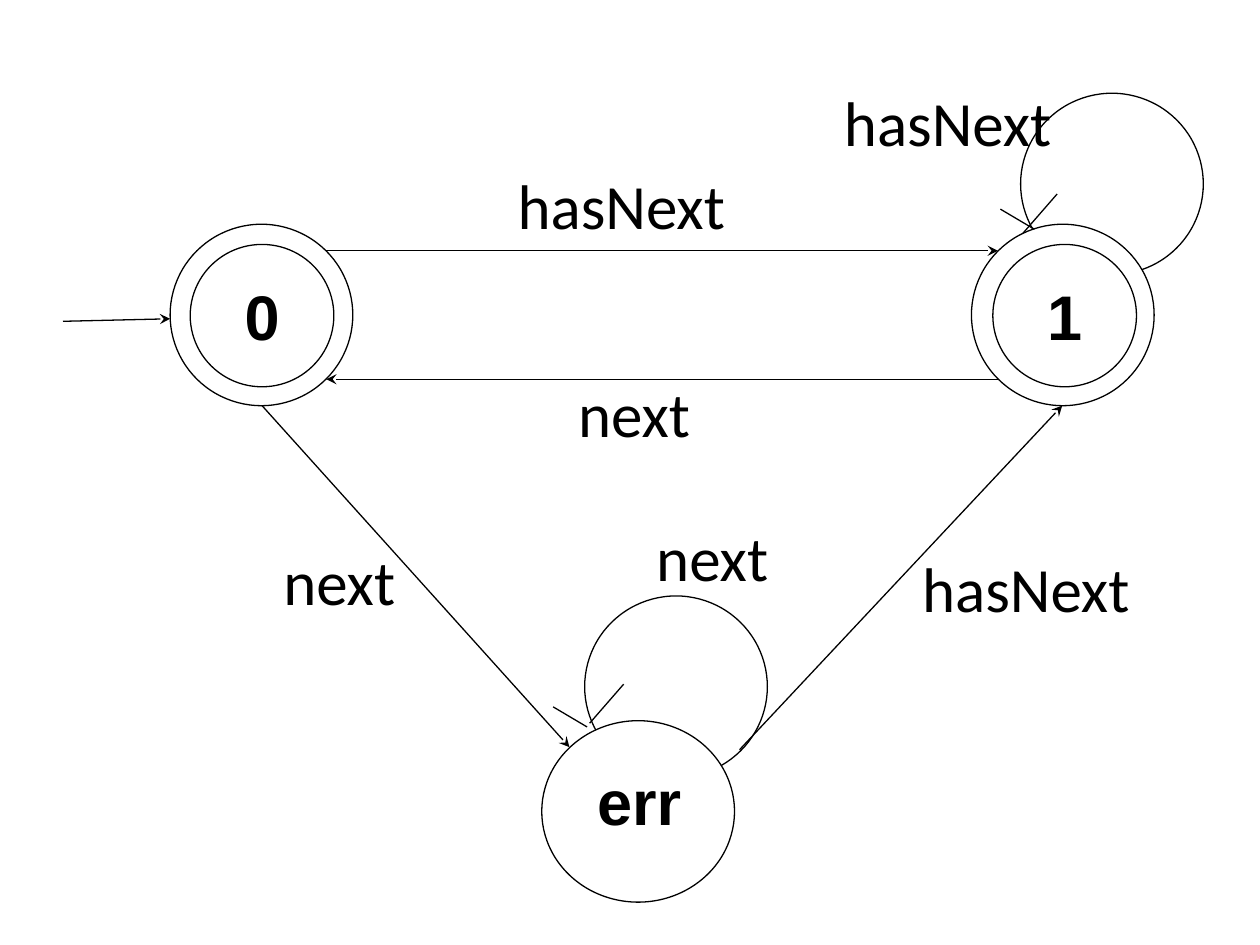
from lxml import etree
from pptx import Presentation
from pptx import util as u
from pptx.dml.color import RGBColor
from pptx.enum import shapes, text
from pptx.oxml import ns


def colour(value):
    return RGBColor.from_string(value)


class Diagram:
    ink = "000000"
    paper = "FFFFFF"
    size = u.Pt(36)
    line_width = u.Pt(0.75)
    label_font = "Calibri"
    state_font = "Arial"

    def __init__(self, slide):
        self.slide = slide

    def style_line(self, shape):
        shape.line.color.rgb = colour(self.ink)
        shape.line.width = self.line_width

    def add_words(self, frame, words, font, bold=False, after=10):
        paragraph = frame.paragraphs[0]
        paragraph.space_after = u.Pt(after)
        run = paragraph.add_run()
        run.text = words
        run.font.name = font
        run.font.size = self.size
        run.font.bold = bold
        run.font.color.rgb = colour(self.ink)
        return paragraph

    def circle(self, left, top, width, height, words=None):
        shape = self.slide.shapes.add_shape(
            shapes.MSO_SHAPE.OVAL, *map(u.Inches, (left, top, width, height)))
        shape.shadow.inherit = False
        shape.fill.solid()
        shape.fill.fore_color.rgb = colour(self.paper)
        self.style_line(shape)
        if words:
            shape.text_frame.vertical_anchor = text.MSO_ANCHOR.MIDDLE
            paragraph = self.add_words(shape.text_frame, words, self.state_font, bold=True)
            paragraph.alignment = text.PP_ALIGN.CENTER

    def line(self, start, end, arrow=False):
        connector = self.slide.shapes.add_connector(
            shapes.MSO_CONNECTOR.STRAIGHT, *map(u.Inches, start + end))
        self.style_line(connector)
        properties = connector._element.spPr
        if arrow:
            etree.SubElement(properties.find(ns.qn("a:ln")), ns.qn("a:tailEnd"), type="stealth")
        etree.SubElement(properties, ns.qn("a:effectLst"))

    def label(self, words, left, top, width, height):
        box = self.slide.shapes.add_textbox(*map(u.Inches, (left, top, width, height)))
        box.text_frame.word_wrap = True
        self.add_words(box.text_frame, words, self.label_font)

    def state_name(self, words, left, top, width, height):
        box = self.slide.shapes.add_textbox(*map(u.Inches, (left, top, width, height)))
        box.text_frame.word_wrap = False
        box.text_frame.auto_size = text.MSO_AUTO_SIZE.SHAPE_TO_FIT_TEXT
        self.add_words(box.text_frame, words, self.state_font, bold=True, after=0)


def main():
    presentation = Presentation()
    presentation.slide_width = u.Inches(10)
    presentation.slide_height = u.Inches(7.5)
    diagram = Diagram(presentation.slides.add_slide(presentation.slide_layouts[6]))

    # Self loops, partly covered by the states
    for left, top in ((4.64, 4.73), (8.1, 0.74)):
        diagram.circle(left, top, 1.45, 1.44)

    # States: 0 and 1 have a double ring
    diagram.circle(4.3, 5.72, 1.53, 1.44)
    diagram.state_name("err", 4.64, 6, 0.88, 0.71)
    for name, outer, inner in (("0", 1.35, 1.51), ("1", 7.71, 7.88)):
        diagram.circle(outer, 1.78, 1.45, 1.44)
        diagram.circle(inner, 1.94, 1.14, 1.13, name)

    # Transitions
    for start, end in (
        ((0.5, 2.55), (1.35, 2.53)),
        ((2.59, 1.99), (7.92, 1.99)),
        ((7.92, 3.01), (2.59, 3.01)),
        ((2.08, 3.22), (4.52, 5.93)),
        ((5.87, 5.95), (8.43, 3.22)),
    ):
        diagram.line(start, end, arrow=True)

    # Open arrowheads of the self loops
    for right_start, left_start in (((8.12, 1.85), (8.21, 1.82)),
                                    ((4.68, 5.74), (4.66, 5.77))):
        for (x, y), dx, dy in ((right_start, 0.27, -0.31), (left_start, -0.27, -0.16)):
            diagram.line((x, y), (x + dx, y + dy))

    # Transition labels
    for left, top, width, height in ((4.01, 1.27, 2.33, 0.66),
                                     (6.6, 0.61, 2.34, 0.91),
                                     (7.22, 4.31, 2.33, 0.66)):
        diagram.label("hasNext", left, top, width, height)
    for left, top in ((5.11, 4.07), (2.15, 4.26), (4.49, 2.92)):
        diagram.label("next", left, top, 1.87, 0.97)

    presentation.save("out.pptx")


if __name__ == "__main__":
    main()
